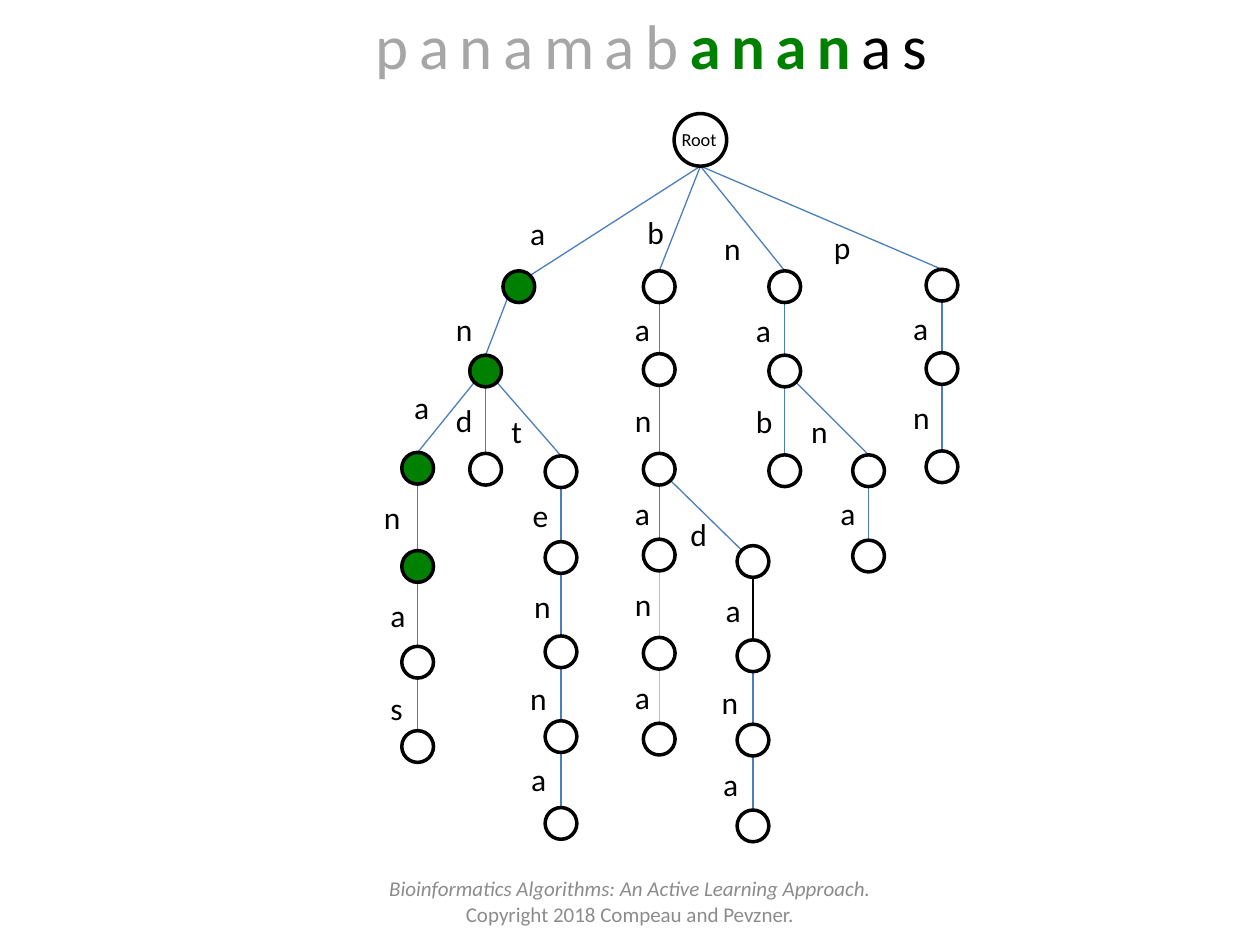
from lxml.etree import SubElement
from pptx import Presentation
from pptx.dml.color import RGBColor
from pptx.enum.shapes import MSO_CONNECTOR as Connector, MSO_SHAPE as Shape
from pptx.enum.text import MSO_ANCHOR as Anchor, MSO_AUTO_SIZE as AutoSize, PP_ALIGN as Align
from pptx.oxml.ns import qn
from pptx.util import Cm, Pt

COLORS = {
    "ink": "000000",
    "paper": "FFFFFF",
    "match": "008000",
    "passed": "A6A6A6",
    "edge": "4B7EBC",
    "pale_edge": "BFBFBF",
    "footer": "8C8C8C",
}
FONT = "Calibri"
MATCH = "anan"
ROOT = (14.12, 2.82)
ROOT_RADIUS = 0.53
RADIUS = 0.32
DIAGONAL = 0.707

COLUMNS = {
    "ananas": 8.42, "and": 9.79, "a": 10.46, "antenna": 11.31, "banana": 13.29,
    "bandana": 15.18, "nab": 15.82, "nana": 17.51, "pan": 18.99,
}
# path: (column, node centre y, label left, label top)
NODES = {
    "a": ("a", 5.78, 10.44, 4.19),
    "an": ("and", 7.48, 8.94, 6.12),
    "and": ("and", 9.46, 8.94, 7.95),
    "ana": ("ananas", 9.44, 8.1, 7.7),
    "anan": ("ananas", 11.42, 7.49, 9.91),
    "anana": ("ananas", 13.35, 7.62, 11.89),
    "ananas": ("ananas", 15.05, 7.62, 13.77),
    "ant": ("antenna", 9.51, 10.06, 8.18),
    "ante": ("antenna", 11.24, 10.49, 9.88),
    "anten": ("antenna", 13.14, 10.52, 11.71),
    "antenn": ("antenna", 14.85, 10.44, 13.56),
    "antenna": ("antenna", 16.6, 10.46, 15.19),
    "b": ("banana", 5.78, 12.8, 4.17),
    "ba": ("banana", 7.45, 12.55, 6.12),
    "ban": ("banana", 9.46, 12.55, 7.95),
    "bana": ("banana", 11.19, 12.55, 9.83),
    "banan": ("banana", 13.17, 12.55, 11.66),
    "banana": ("banana", 14.9, 12.55, 13.54),
    "band": ("bandana", 11.32, 13.67, 10.26),
    "banda": ("bandana", 13.22, 14.38, 11.79),
    "bandan": ("bandana", 14.92, 14.3, 13.64),
    "bandana": ("bandana", 16.65, 14.33, 15.29),
    "n": ("nab", 5.78, 14.35, 4.5),
    "na": ("nab", 7.48, 14.99, 6.15),
    "nab": ("nab", 9.49, 14.99, 7.98),
    "nan": ("nana", 9.49, 16.1, 8.18),
    "nana": ("nana", 11.21, 16.69, 9.83),
    "p": ("pan", 5.75, 16.56, 4.47),
    "pa": ("pan", 7.43, 18.16, 6.1),
    "pan": ("pan", 9.41, 18.16, 7.9),
}
ENTRY_SIDES = {"a": 1, "band": -1}
EDGE_COLORS = {"banan": "pale_edge", "banana": "pale_edge", "banda": "ink"}
LABEL_WIDTHS = {"a": 0.81, "e": 0.84, "t": 0.74, "s": 0.76}


def rgb(name):
    return RGBColor.from_string(COLORS[name])


def format_run(run, size, color, bold=False, italic=False):
    run.font.name = FONT
    run.font.size = Pt(size)
    run.font.bold = bold
    run.font.italic = italic
    run.font.color.rgb = rgb(color)


def add_title(slide):
    title = slide.shapes.title
    title.left, title.top, title.width, title.height = Cm(6.78), Cm(0), Cm(12.7), Cm(1.8)
    frame = title.text_frame
    frame.auto_size = AutoSize.NONE
    frame.vertical_anchor = Anchor.TOP
    paragraph = frame.paragraphs[0]
    paragraph.alignment = Align.CENTER
    for text, color in (("panamab", "passed"), (MATCH, "match"), ("as", "ink")):
        run = paragraph.add_run()
        run.text = text
        format_run(run, 36, color, bold=color == "match")
        run.font._element.set("spc", "600")


def add_text(slide, text, left, top, width, height, size, color="ink", wrap=False):
    box = slide.shapes.add_textbox(Cm(left), Cm(top), Cm(width), Cm(height))
    frame = box.text_frame
    frame.word_wrap = wrap
    frame.text = text
    for paragraph in frame.paragraphs:
        format_run(paragraph.runs[0], size, color)
    return frame


def add_node(slide, center, radius, fill):
    x, y = center
    node = slide.shapes.add_shape(
        Shape.OVAL, Cm(x - radius), Cm(y - radius), Cm(2 * radius), Cm(2 * radius))
    node.shadow.inherit = False
    node.fill.solid()
    node.fill.fore_color.rgb = rgb(fill)
    node.line.color.rgb = rgb("ink")
    node.line.width = Pt(2)


def rim_point(center, radius, side, direction):
    x, y = center
    rise = DIAGONAL if side else 1
    return x + side * DIAGONAL * radius, y + direction * rise * radius


def add_edge(slide, start, end, color):
    points = [Cm(value) for value in (*start, *end)]
    edge = slide.shapes.add_connector(Connector.STRAIGHT, *points)
    edge.line.color.rgb = rgb(color)
    edge.line.width = Pt(0.75)
    SubElement(edge._element.spPr, qn("a:effectLst"))


def add_trie(slide):
    centers = {path: (COLUMNS[column], y) for path, (column, y, _, _) in NODES.items()}
    for path, center in centers.items():
        parent = path[:-1]
        if parent:
            origin = centers[parent]
            side = (center[0] > origin[0]) - (center[0] < origin[0])
            start = rim_point(origin, RADIUS, side, 1)
        else:
            start = rim_point(ROOT, ROOT_RADIUS, 0, 1)
        end = rim_point(center, RADIUS, ENTRY_SIDES.get(path, 0), -1)
        add_edge(slide, start, end, EDGE_COLORS.get(path, "edge"))
    add_node(slide, ROOT, ROOT_RADIUS, "paper")
    add_text(slide, "Root", 13.49, 2.46, 1.4, 0.71, 10.5, wrap=True)
    for path, (_, _, left, top) in NODES.items():
        add_node(slide, centers[path], RADIUS, "match" if MATCH.startswith(path) else "paper")
        letter = path[-1]
        add_text(slide, letter, left, top, LABEL_WIDTHS.get(letter, 0.86), 1.02, 18)


def add_footer(slide):
    text = ("Bioinformatics Algorithms: An Active Learning Approach.\n"
            "Copyright 2018 Compeau and Pevzner.")
    frame = add_text(slide, text, 7.2, 17.66, 11, 1.01, 12, "footer", wrap=True)
    frame.vertical_anchor = Anchor.MIDDLE
    for paragraph in frame.paragraphs:
        paragraph.alignment = Align.CENTER
    frame.paragraphs[0].runs[0].font.italic = True


def main():
    presentation = Presentation()
    presentation.slide_width, presentation.slide_height = Cm(25.4), Cm(19.05)
    slide = presentation.slides.add_slide(presentation.slide_layouts[5])
    add_title(slide)
    add_trie(slide)
    add_footer(slide)
    presentation.save("out.pptx")


if __name__ == "__main__":
    main()
